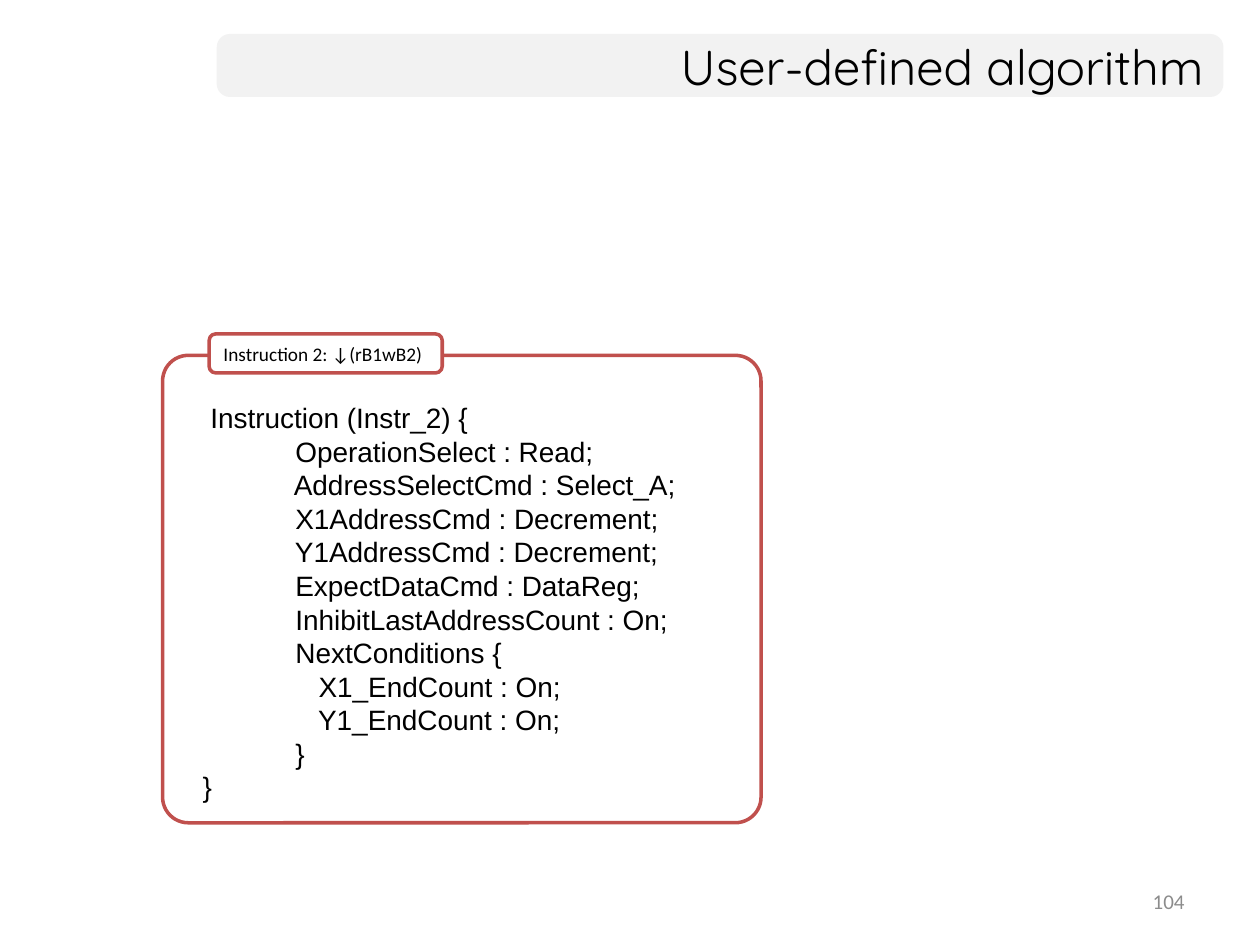
from dataclasses import dataclass

from pptx import Presentation
from pptx.dml.color import RGBColor
from pptx.enum.shapes import MSO_SHAPE
from pptx.enum.text import MSO_ANCHOR, PP_ALIGN
from pptx.util import Inches, Pt

BLACK = RGBColor(0x00, 0x00, 0x00)
WHITE = RGBColor(0xFF, 0xFF, 0xFF)
RED = RGBColor(0xC0, 0x50, 0x4D)
BAR_GRAY = RGBColor(0xF2, 0xF2, 0xF2)
NUMBER_GRAY = RGBColor(0x8C, 0x8C, 0x8C)

CODE = """ Instruction (Instr_2) {
            OperationSelect : Read;
            AddressSelectCmd : Select_A;
            X1AddressCmd : Decrement;
            Y1AddressCmd : Decrement;
            ExpectDataCmd : DataReg;
            InhibitLastAddressCount : On;
            NextConditions {
               X1_EndCount : On;
               Y1_EndCount : On;
            }
}"""


@dataclass
class Box:
    left: float
    top: float
    width: float
    height: float

    def lengths(self) -> list:
        return [Inches(v) for v in (self.left, self.top, self.width, self.height)]


@dataclass
class TextStyle:
    name: str
    size: float
    color: RGBColor = BLACK
    align: PP_ALIGN = PP_ALIGN.LEFT
    anchor: MSO_ANCHOR = MSO_ANCHOR.TOP
    spacing: float | None = None


def add_panel(s, box: Box, radius: float, fill: RGBColor, line: RGBColor | None = None):
    sp = s.shapes.add_shape(MSO_SHAPE.ROUNDED_RECTANGLE, *box.lengths())
    sp.adjustments[0] = radius
    sp.shadow.inherit = False
    sp.fill.solid()
    sp.fill.fore_color.rgb = fill
    if line is None:
        sp.line.fill.background()
    else:
        sp.line.color.rgb = line
        sp.line.width = Pt(2)
    return sp


def write_text(sp, text: str, style: TextStyle) -> None:
    tf = sp.text_frame
    tf.word_wrap = True
    tf.vertical_anchor = style.anchor
    for i, line in enumerate(text.split("\n")):
        p = tf.paragraphs[0] if i == 0 else tf.add_paragraph()
        p.alignment = style.align
        if style.spacing:
            p.line_spacing = Pt(style.spacing)
        r = p.add_run()
        r.text = line
        for key, value in {"name": style.name, "size": Pt(style.size)}.items():
            setattr(r.font, key, value)
        r.font.color.rgb = style.color


def add_text(s, box: Box, text: str, style: TextStyle) -> None:
    write_text(s.shapes.add_textbox(*box.lengths()), text, style)


def add_title(s, box: Box, text: str, style: TextStyle) -> None:
    sp = s.shapes.title
    sp.left, sp.top, sp.width, sp.height = box.lengths()
    write_text(sp, text, style)
    s.shapes._spTree.append(sp._element)


def main() -> None:
    prs = Presentation()
    prs.slide_width, prs.slide_height = Inches(10), Inches(7.5)
    s = prs.slides.add_slide(prs.slide_layouts[5])

    add_panel(s, Box(1.72, 0.27, 7.99, 0.5), 0.21, BAR_GRAY)
    add_title(s, Box(1.72, 0.27, 7.93, 0.5), "User-defined algorithm",
              TextStyle("Quicksand", 28, align=PP_ALIGN.RIGHT, anchor=MSO_ANCHOR.MIDDLE))
    add_text(s, Box(7.17, 6.95, 2.33, 0.4), "104",
             TextStyle("Calibri", 12, NUMBER_GRAY, PP_ALIGN.RIGHT, MSO_ANCHOR.MIDDLE))

    add_panel(s, Box(1.29, 2.82, 4.75, 3.71), 0.055, WHITE, RED)
    label = add_panel(s, Box(1.66, 2.65, 1.85, 0.31), 0.17, WHITE, RED)
    write_text(label, "Instruction 2: ↓(rB1wB2)", TextStyle("Calibri", 11))
    add_text(s, Box(1.51, 3.13, 4.27, 3.33), CODE, TextStyle("Arial", 16, spacing=19.2))

    prs.save("out.pptx")


if __name__ == "__main__":
    main()
